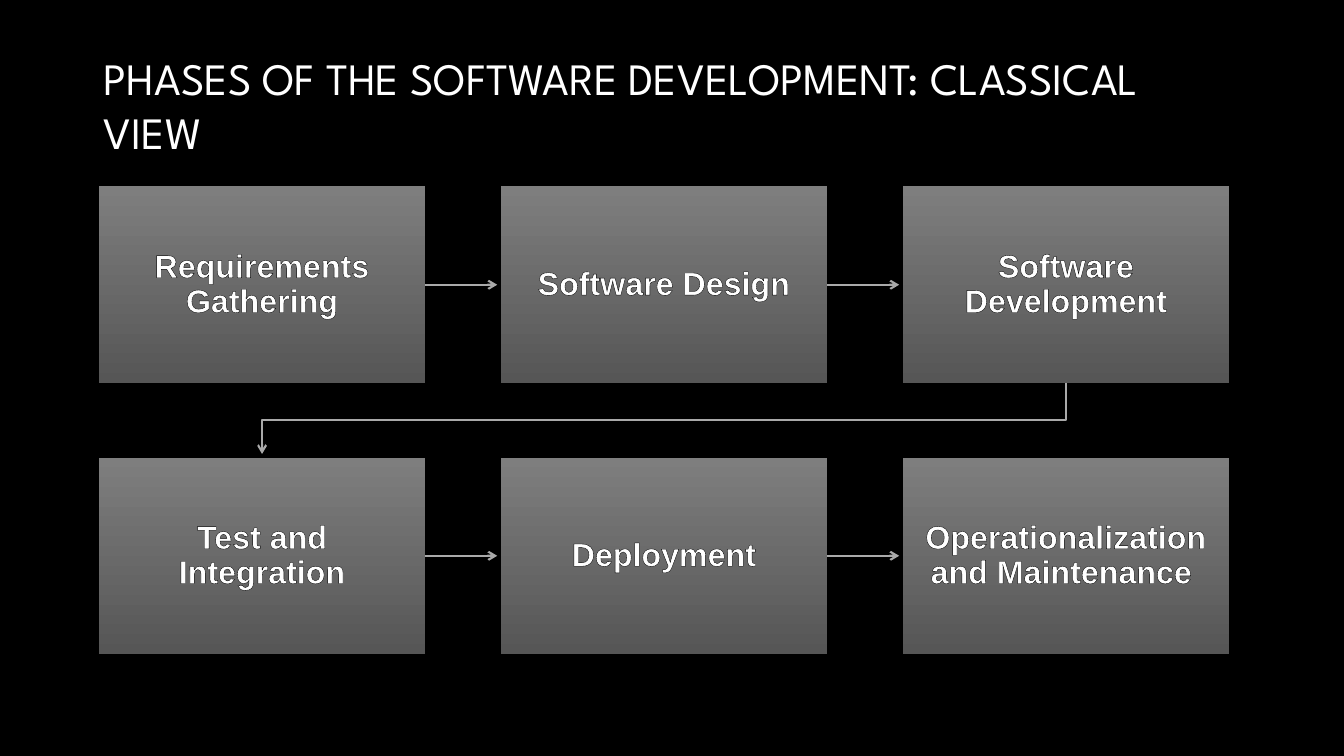
from lxml import etree
from pptx import Presentation
from pptx.dml.color import RGBColor
from pptx.enum.shapes import MSO_CONNECTOR, MSO_SHAPE
from pptx.enum.text import MSO_ANCHOR, PP_ALIGN
from pptx.oxml.ns import qn
from pptx.util import Cm, Pt

STRAIGHT = MSO_CONNECTOR.STRAIGHT
RECTANGLE = MSO_SHAPE.RECTANGLE
MIDDLE = MSO_ANCHOR.MIDDLE
LEFT, CENTER = PP_ALIGN.LEFT, PP_ALIGN.CENTER

BLACK = RGBColor(0x00, 0x00, 0x00)
WHITE = RGBColor(0xFF, 0xFF, 0xFF)
SILVER = RGBColor(0xA6, 0xA6, 0xA6)
ARROW_GRAY = RGBColor(0xA9, 0xA9, 0xA9)
BOX_TOP = RGBColor(0x7E, 0x7E, 0x7E)
BOX_BOTTOM = RGBColor(0x56, 0x56, 0x56)

TITLE = "PHASES OF THE SOFTWARE DEVELOPMENT: CLASSICAL VIEW"
PHASES = [
    "Requirements Gathering", "Software Design", "Software Development",
    "Test and Integration", "Deployment", "Operationalization and Maintenance ",
]
COLUMNS = 3
GRID_LEFT, GRID_TOP = Cm(2.49), Cm(4.7)
BOX_WIDTH, BOX_HEIGHT = Cm(8.23), Cm(4.95)
COLUMN_STEP, ROW_STEP = Cm(10.13), Cm(6.83)
BOX_INSET = Cm(0.46)
ARROW_CLEARANCE = Cm(0.09)


def fill_gradient(fill, first, last, angle=270):
    """Angles run counter-clockwise, so 270 points down."""
    fill.gradient()
    fill.gradient_angle = angle
    for stop, color, position in zip(fill.gradient_stops, (first, last), (0, 1)):
        stop.color.rgb = color
        stop.position = position


def write_text(frame, text, *, size, font, color=WHITE, bold=False,
               align=LEFT, spacing=None):
    frame.word_wrap = True
    frame.vertical_anchor = MIDDLE
    para = frame.paragraphs[0]
    para.alignment = align
    para.line_spacing = spacing
    span = para.add_run()
    span.text = text
    span.font.size = Pt(size)
    span.font.name = font
    span.font.bold = bold
    span.font.color.rgb = color
    return span


def outline_text(span, color, width):
    properties = span.font._element
    line = etree.Element(qn("a:ln"), w=str(Pt(width)))
    solid = etree.SubElement(line, qn("a:solidFill"))
    etree.SubElement(solid, qn("a:srgbClr"), val=str(color))
    properties.insert(0, line)


def add_title(page):
    title = page.shapes.title
    title.left, title.top = Cm(2.36), Cm(0)
    title.width, title.height = Cm(27.51), Cm(5.28)
    span = write_text(title.text_frame, TITLE, size=32, font="League Spartan")
    fill_gradient(span.font.fill, WHITE, SILVER, angle=267)


def box_position(index):
    row, column = divmod(index, COLUMNS)
    return GRID_LEFT + column * COLUMN_STEP, GRID_TOP + row * ROW_STEP


def add_phase(page, index, text):
    box = page.shapes.add_shape(RECTANGLE, *box_position(index),
                                BOX_WIDTH, BOX_HEIGHT)
    box.shadow.inherit = False
    box.line.fill.background()
    fill_gradient(box.fill, BOX_TOP, BOX_BOTTOM)
    frame = box.text_frame
    frame.margin_left = frame.margin_right = BOX_INSET
    frame.margin_top = frame.margin_bottom = BOX_INSET
    span = write_text(frame, text, size=23, font="Arial", bold=True,
                      align=CENTER, spacing=0.9)
    outline_text(span, BLACK, 0.75)


def style_arrow(arrow):
    arrow.line.color.rgb = ARROW_GRAY
    arrow.line.width = Pt(1.5)
    etree.SubElement(arrow.line._get_or_add_ln(), qn("a:tailEnd"), type="arrow")
    etree.SubElement(arrow._element.spPr, qn("a:effectLst"))


def add_arrow_right(page, index):
    left, top = box_position(index)
    middle = top + BOX_HEIGHT // 2
    style_arrow(page.shapes.add_connector(
        STRAIGHT, left + BOX_WIDTH, middle,
        left + COLUMN_STEP - ARROW_CLEARANCE, middle))


def add_arrow_to_next_row(page, index):
    start_left, start_top = box_position(index)
    end_left, end_top = box_position(index + 1)
    start_x, end_x = start_left + BOX_WIDTH // 2, end_left + BOX_WIDTH // 2
    start_y = start_top + BOX_HEIGHT
    turn_y = (start_y + end_top) // 2
    builder = page.shapes.build_freeform(start_x, start_y)
    builder.add_line_segments(
        [(start_x, turn_y), (end_x, turn_y), (end_x, end_top - ARROW_CLEARANCE)],
        close=False)
    arrow = builder.convert_to_shape()
    arrow.fill.background()
    style_arrow(arrow)


def main():
    deck = Presentation()
    deck.slide_width, deck.slide_height = Cm(33.87), Cm(19.05)
    page = deck.slides.add_slide(deck.slide_layouts.get_by_name("Title Only"))
    page.background.fill.solid()
    page.background.fill.fore_color.rgb = BLACK
    add_title(page)
    for index, text in enumerate(PHASES):
        add_phase(page, index, text)
    for index in range(len(PHASES) - 1):
        if (index + 1) % COLUMNS:
            add_arrow_right(page, index)
        else:
            add_arrow_to_next_row(page, index)
    deck.save("out.pptx")


if __name__ == "__main__":
    main()
